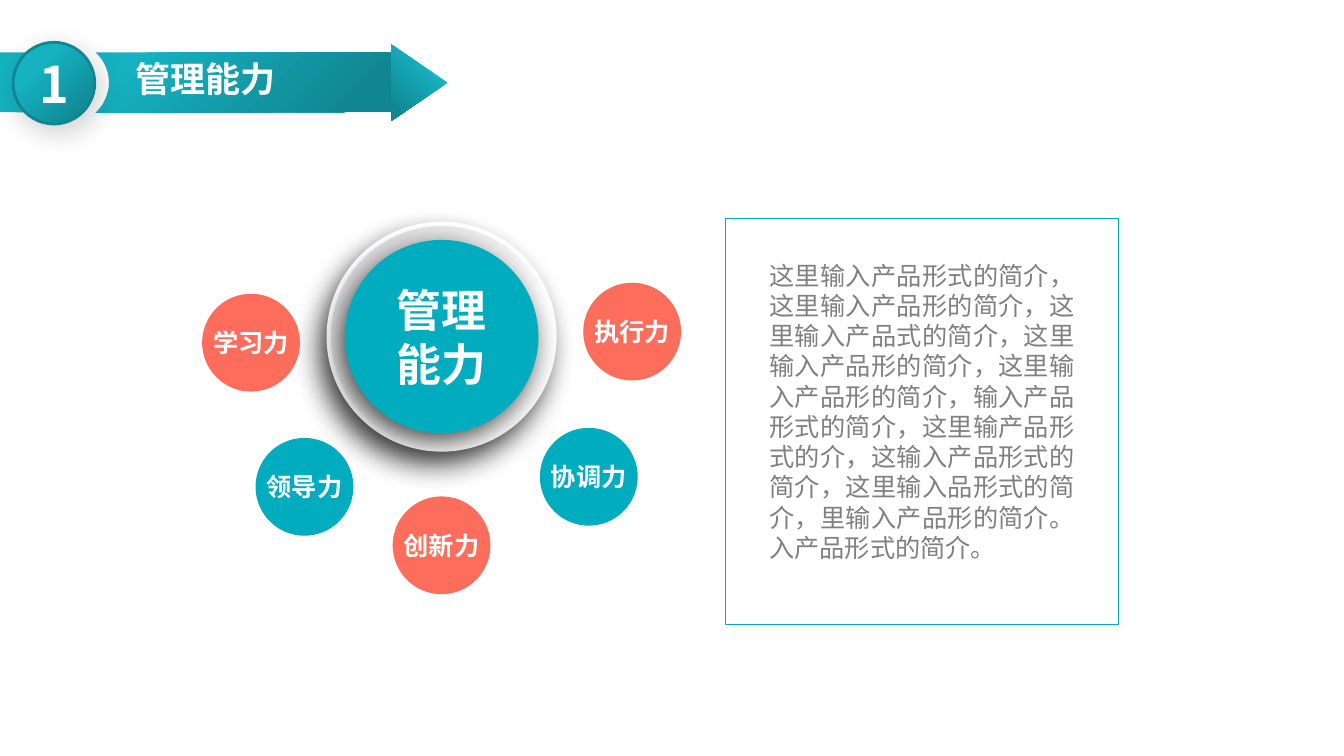
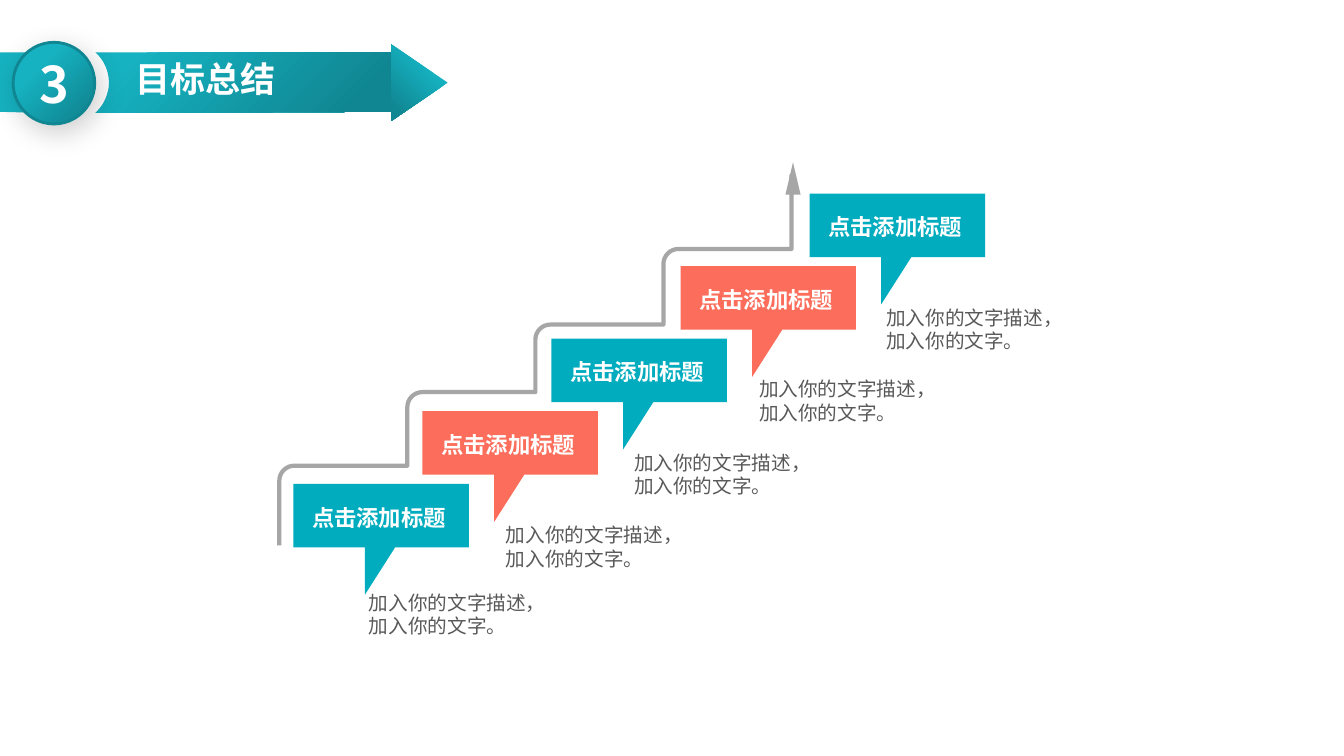
import math
from dataclasses import dataclass

from lxml import etree
from pptx import Presentation
from pptx import util as u
from pptx.dml import color
from pptx.enum import shapes, text
from pptx.oxml import ns

KIND = shapes.MSO_SHAPE
ALIGN = text.PP_ALIGN
ANCHOR = text.MSO_ANCHOR


@dataclass(frozen=True)
class Theme:
    font: str = "Noto Sans CJK SC"
    teal: str = "01ACBE"
    coral: str = "FC6E5B"
    white: str = "FFFFFF"
    gray: str = "808080"
    dark: str = "595959"
    rail: str = "A6A6A6"
    edge: str = "108692"
    band: tuple = ((30, "16B2C1"), (90, "108692"))
    ring: tuple = ((34, "FFFFFF"), (96, "DBDBDD"))
    lift: tuple = ("0D0D0D", 20, 20, 6, 59)
    number: int = 36
    hub: int = 32
    title: int = 25
    body: int = 18
    label: int = 16
    note: int = 14
    leading: float = 1.2


def rgb(code):
    return color.RGBColor.from_string(code)


def node(parent, tag, **attrs):
    return etree.SubElement(parent, ns.qn(tag), {k: str(v) for k, v in attrs.items()})


def arc(x, y, r, start, end, steps=24):
    """Points along a circle, angles in degrees clockwise from the right."""
    angles = [math.radians(start + (end - start) * i / steps) for i in range(steps + 1)]
    return [(x + r * math.cos(a), y + r * math.sin(a)) for a in angles]


class Deck:
    def __init__(self, theme):
        self.theme = theme
        self.prs = Presentation()
        self.prs.slide_width, self.prs.slide_height = u.Inches(13.33), u.Inches(7.5)
        self.slide = None

    def page(self, number, title):
        """Start a slide with the arrow band, its title and its number badge."""
        t = self.theme
        self.slide = self.prs.slides.add_slide(self.prs.slide_layouts[6])
        x, y, r, top, low = 0.675, 0.82, 0.405, 0.52, 1.11
        turn = math.degrees(math.asin((y - top) / r))
        right = [(3.89, top), (3.89, low)] + arc(x, y, r, turn, -turn)
        left = [(0, top)] + arc(x, y, r, 180 + turn, 180 - turn) + [(0, low)]
        self.free([right, left], fill=t.band)
        self.shape(KIND.ISOSCELES_TRIANGLE, 3.78, 0.54, 0.76, 0.56, t.band).rotation = 90
        self.text(title, 1.25, 0.52, 2.82, 0.59, t.title, t.white, bold=True, pad=(0.1, 0.05))
        badge = self.shape(KIND.OVAL, 0.13, 0.42, 0.81, 0.81, t.band, t.edge, 2, t.lift)
        self.label(badge, number, t.number, t.white, True, ALIGN.CENTER, ANCHOR.MIDDLE)

    def paint(self, shape, fill=None, line=None, width=1, shade=None, focus=False):
        """Fill is a colour or gradient stops; focus centres them bottom right."""
        shape.shadow.inherit = False
        if fill is None:
            shape.fill.background()
        elif isinstance(fill, str):
            shape.fill.solid()
            shape.fill.fore_color.rgb = rgb(fill)
        else:
            shape.fill.gradient()
            shape.fill.gradient_angle = 315
            for stop, (place, code) in zip(shape.fill.gradient_stops, fill):
                stop.position, stop.color.rgb = place / 100, rgb(code)
        if line:
            shape.line.color.rgb = rgb(line)
            shape.line.width = u.Pt(width)
        else:
            shape.line.fill.background()
        props = shape._element.spPr
        if focus:
            grad = props.find(ns.qn("a:gradFill"))
            grad.remove(grad.find(ns.qn("a:lin")))
            ray = node(grad, "a:path", path="circle")
            node(ray, "a:fillToRect", l=100000, t=100000)
        if shade:
            code, alpha, blur, dist, angle = shade
            cast = node(props.find(ns.qn("a:effectLst")), "a:outerShdw",
                        blurRad=u.Pt(blur), dist=u.Pt(dist), dir=angle * 60000,
                        algn="ctr", rotWithShape=0)
            node(node(cast, "a:srgbClr", val=code), "a:alpha", val=alpha * 1000)
        return shape

    def shape(self, kind, x, y, w, h, *look, **more):
        item = self.slide.shapes.add_shape(kind, *map(u.Inches, (x, y, w, h)))
        return self.paint(item, *look, **more)

    def disc(self, x, y, size, *look, **more):
        """Draw a circle about its centre."""
        return self.shape(KIND.OVAL, x - size / 2, y - size / 2, size, size, *look, **more)

    def free(self, runs, close=True, **look):
        """Draw one outline from one or more runs of points."""
        runs = [[(u.Inches(x), u.Inches(y)) for x, y in run] for run in runs]
        pen = self.slide.shapes.build_freeform(*runs[0][0])
        for i, run in enumerate(runs):
            if i:
                pen.move_to(*run[0])
            pen.add_line_segments(run[1:], close=close)
        return self.paint(pen.convert_to_shape(), **look)

    def label(self, shape, words, size, ink, bold=False, align=ALIGN.LEFT,
              anchor=ANCHOR.TOP, pad=(0, 0)):
        t = self.theme
        side, edge = map(u.Inches, pad)
        frame = shape.text_frame
        para = frame.paragraphs[0]
        run = para.add_run()
        formats = (
            (frame, dict(word_wrap=True, vertical_anchor=anchor, margin_left=side,
                         margin_right=side, margin_top=edge, margin_bottom=edge)),
            (para, dict(alignment=align, line_spacing=u.Pt(size * t.leading))),
            (run, dict(text=words)),
            (run.font, dict(size=u.Pt(size), bold=bold, name=t.font)),
        )
        for item, values in formats:
            for key, value in values.items():
                setattr(item, key, value)
        run.font.color.rgb = rgb(ink)
        node(run._r.get_or_add_rPr(), "a:ea", typeface=t.font)

    def text(self, words, x, y, w, h, *style, **more):
        box = self.slide.shapes.add_textbox(*map(u.Inches, (x, y, w, h)))
        self.label(box, words, *style, **more)

    def callout(self, x, y, fill, words):
        t = self.theme
        corners = [(0, 0), (1.74, 0), (1.74, 0.63), (1.01, 0.63),
                   (0.71, 1.1), (0.71, 0.63), (0, 0.63)]
        self.free([[(x + dx, y + dy) for dx, dy in corners]], fill=fill)
        self.text(words, x - 0.03, y + 0.19, 1.76, 0.28, t.label, t.white, True,
                  ALIGN.CENTER, ANCHOR.MIDDLE, (0.1, 0))


def skills(deck):
    t = deck.theme
    deck.page("1", "管理能力")
    x, y = 4.38, 3.34
    deck.disc(x, y, 2.24, t.ring, t.white, 3, ("000000", 70, 20, 11, 120), focus=True)
    hub = deck.disc(x, y, 1.92, t.teal, shade=("000000", 70, 20, 7, 120))
    deck.label(hub, "管理能力", t.hub, t.white, True, ALIGN.CENTER, ANCHOR.MIDDLE, (0.15, 0))
    powers = [("执行力", 6.27, 3.29), ("协调力", 5.84, 4.73), ("创新力", 4.38, 5.41),
              ("领导力", 3.02, 4.83), ("学习力", 2.49, 3.4)]
    for i, (name, x, y) in enumerate(powers):
        ball = deck.disc(x, y, 0.97, (t.coral, t.teal)[i % 2])
        deck.label(ball, name, t.body, t.white, True, ALIGN.CENTER, ANCHOR.MIDDLE, (-0.1, 0))
    panel = deck.shape(KIND.RECTANGLE, 7.2, 2.17, 3.89, 4.03, t.white, t.teal, 0.75)
    deck.label(panel, "这里输入产品形式的简介，这里输入产品形的简介，这里输入产品式的简介，"
               "这里输入产品形的简介，这里输入产品形的简介，输入产品形式的简介，"
               "这里输产品形式的介，这输入产品形式的简介，这里输入品形式的简介，"
               "里输入产品形的简介。入产品形式的简介。",
               t.body, t.gray, align=ALIGN.JUSTIFY, pad=(0.43, 0.41))


def goals(deck):
    t = deck.theme
    deck.page("3", "目标总结")
    x, stride, bend = 2.77, 1.27, 0.15
    stairs = [(x, 5.41)]
    for y in (4.62, 3.89, 3.22, 2.47):
        stairs += arc(x + bend, y + bend, bend, 180, 270, 8)
        x += stride
        stairs.append((x, y))
    deck.free([stairs + [(x, 1.73)]], close=False, line=t.rail, width=3)
    deck.shape(KIND.ISOSCELES_TRIANGLE, 7.79, 1.61, 0.15, 0.32, t.rail)
    notes = [(8.69, 3.03), (7.43, 3.74), (6.19, 4.47), (4.92, 5.19), (3.56, 5.86)]
    for i, (x, y) in enumerate(notes):
        deck.callout(8.03 - 1.28 * i, 1.92 + 0.72 * i, (t.teal, t.coral)[i % 2], "点击添加标题")
        deck.text("加入你的文字描述，加入你的文字。", x, y, 1.89, 0.55, t.note, t.dark, pad=(0.1, 0))


def main():
    deck = Deck(Theme())
    skills(deck)
    goals(deck)
    deck.prs.save("out.pptx")


if __name__ == "__main__":
    main()
